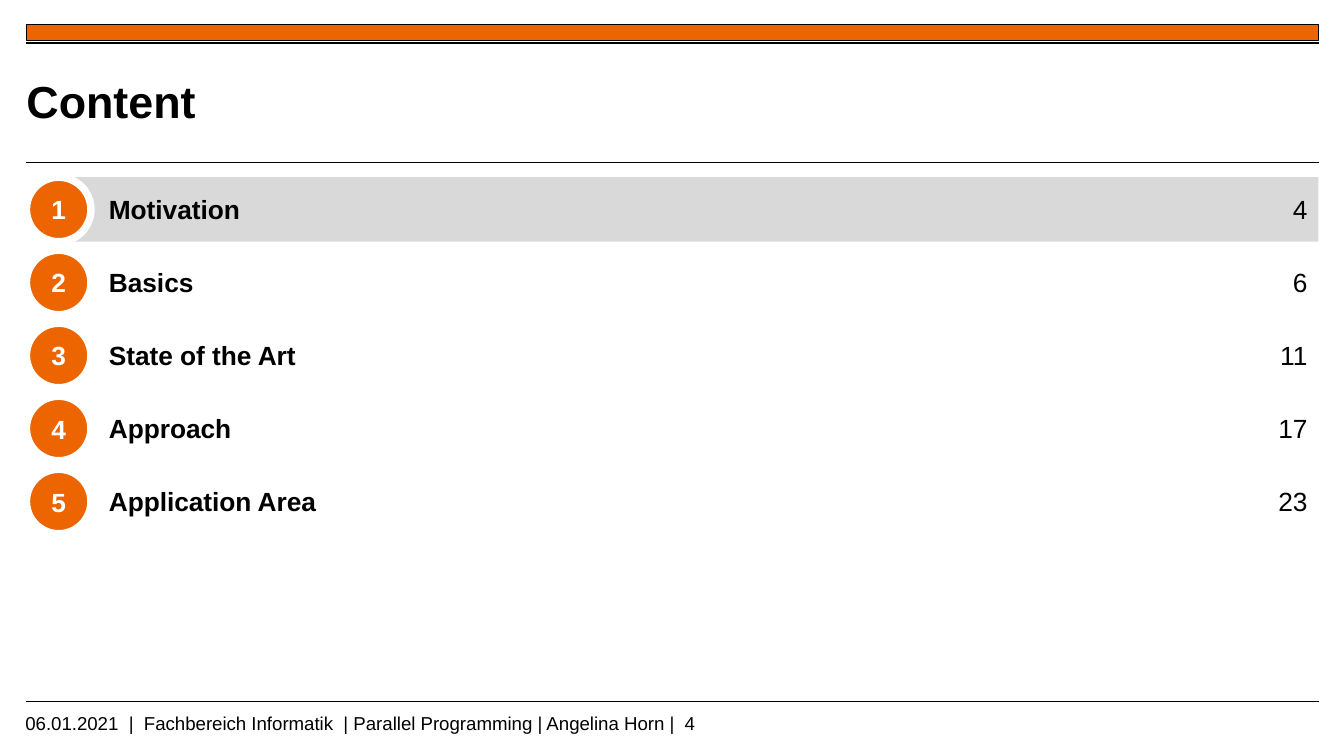
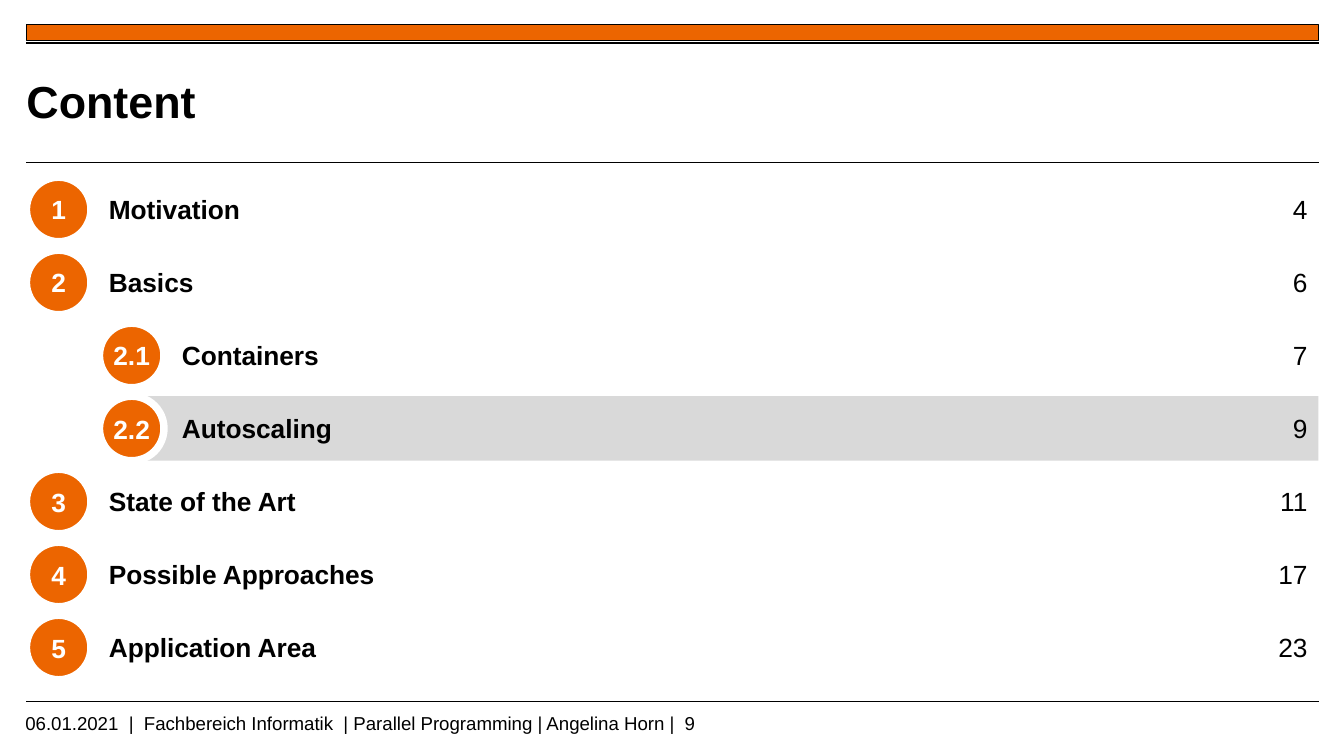
from dataclasses import dataclass

from lxml import etree
from pptx import Presentation
from pptx.dml.color import RGBColor
from pptx.enum.shapes import MSO_CONNECTOR, MSO_SHAPE
from pptx.enum.text import MSO_ANCHOR, MSO_AUTO_SIZE, PP_ALIGN
from pptx.oxml.ns import qn
from pptx.util import Cm, Pt

RECT, OVAL = MSO_SHAPE.RECTANGLE, MSO_SHAPE.OVAL
STRAIGHT = MSO_CONNECTOR.STRAIGHT
LEFT, CENTER, RIGHT = PP_ALIGN.LEFT, PP_ALIGN.CENTER, PP_ALIGN.RIGHT
TOP, MIDDLE = MSO_ANCHOR.TOP, MSO_ANCHOR.MIDDLE
NO_AUTOFIT = MSO_AUTO_SIZE.NONE


@dataclass(frozen=True)
class Theme:
    accent = RGBColor(0xEC, 0x65, 0x00)
    highlight = RGBColor(0xD9, 0xD9, 0xD9)
    ink = RGBColor(0, 0, 0)
    paper = RGBColor(255, 255, 255)
    font = "Arial"
    title_size = Pt(24)
    entry_size = Pt(14.1)
    footer_size = Pt(10)


theme = Theme()

# Layout in centimetres
MARGIN_LEFT, MARGIN_RIGHT = 0.5, 24.92
ROW_TOP, ROW_STEP, ROW_HEIGHT = 3.35, 1.38, 1.22
LABEL_RIGHT = 18.16
PAGE_LEFT, PAGE_WIDTH = 24.43, 0.28
RULES = [(0.81, 1.2), (3.07, 0.6), (13.26, 0.6)]  # height, line width in points
FOOTER = "06.01.2021  |  Fachbereich Informatik  | Parallel Programming | Angelina Horn |  {}"

# Each agenda: number of the current entry, then (number, label, page)
AGENDAS = [
    ("1", [
        ("1", "Motivation", 4),
        ("2", "Basics", 6),
        ("3", "State of the Art", 11),
        ("4", "Approach", 17),
        ("5", "Application Area", 23),
    ]),
    ("2.2", [
        ("1", "Motivation", 4),
        ("2", "Basics", 6),
        ("2.1", "Containers", 7),
        ("2.2", "Autoscaling", 9),
        ("3", "State of the Art", 11),
        ("4", "Possible Approaches", 17),
        ("5", "Application Area", 23),
    ]),
]


def write(sp, text, size, bold=False, color=theme.ink, align=LEFT,
          anchor=TOP, insets=(0.25, 0.13, 0.25, 0.13), wrap=True):
    tf = sp.text_frame
    tf.auto_size = NO_AUTOFIT
    tf.word_wrap = wrap
    tf.vertical_anchor = anchor
    tf.margin_left, tf.margin_top, tf.margin_right, tf.margin_bottom = map(Cm, insets)
    tf.text = text
    p = tf.paragraphs[0]
    p.alignment = align
    p.font.name, p.font.size, p.font.bold = theme.font, size, bold
    p.font.color.rgb = color


def add_filled(s, kind, left, top, width, height, fill, line=None, line_width=0):
    sp = s.shapes.add_shape(kind, Cm(left), Cm(top), Cm(width), Cm(height))
    sp.shadow.inherit = False
    sp.fill.solid()
    sp.fill.fore_color.rgb = fill
    if line is None:
        sp.line.fill.background()
    else:
        sp.line.color.rgb = line
        sp.line.width = Pt(line_width)
    return sp


prs = Presentation()
prs.slide_width, prs.slide_height = Cm(25.4), Cm(14.29)

for current, entries in AGENDAS:
    s = prs.slides.add_slide(prs.slide_layouts[5])

    # Band and rules
    add_filled(s, RECT, MARGIN_LEFT, 0.46, MARGIN_RIGHT - MARGIN_LEFT, 0.3,
               theme.accent, theme.ink, 0.25)
    for y, width in RULES:
        rule = s.shapes.add_connector(STRAIGHT, Cm(MARGIN_LEFT), Cm(y), Cm(MARGIN_RIGHT), Cm(y))
        rule.line.color.rgb = theme.ink
        rule.line.width = Pt(width)
        etree.SubElement(rule._element.spPr, qn("a:effectLst"))

    # Title
    title = s.shapes.title
    title.left, title.top, title.width, title.height = Cm(MARGIN_LEFT), Cm(1.02), Cm(18.95), Cm(1.75)
    write(title, "Content", theme.title_size, bold=True, anchor=MIDDLE, insets=(0, 0, 0, 0))

    # Agenda rows, with sub-entries indented by one step
    for i, (number, label, page) in enumerate(entries):
        top = ROW_TOP + i * ROW_STEP
        left = MARGIN_LEFT + number.count(".") * ROW_STEP
        label_left = left + ROW_STEP
        if number == current:
            current_page = page
            bar_left = left + ROW_HEIGHT / 2
            add_filled(s, RECT, bar_left, top, MARGIN_RIGHT - bar_left, ROW_HEIGHT, theme.highlight)
        badge = add_filled(s, OVAL, left, top, ROW_HEIGHT, ROW_HEIGHT, theme.accent, theme.paper, 4)
        write(badge, number, theme.entry_size, bold=True, color=theme.paper, align=CENTER,
              anchor=MIDDLE, insets=(0.18, 0.3, 0.18, 0.3), wrap=False)
        tb = s.shapes.add_textbox(Cm(label_left), Cm(top), Cm(LABEL_RIGHT - label_left), Cm(ROW_HEIGHT))
        write(tb, label, theme.entry_size, bold=True, insets=(0.18, 0.3, 0, 0.3))
        tb = s.shapes.add_textbox(Cm(PAGE_LEFT), Cm(top), Cm(PAGE_WIDTH), Cm(ROW_HEIGHT))
        write(tb, str(page), theme.entry_size, align=RIGHT, insets=(0, 0.3, 0, 0.3), wrap=False)

    # Footer
    tb = s.shapes.add_textbox(Cm(0.23), Cm(13.33), Cm(20.2), Cm(0.48))
    write(tb, FOOTER.format(current_page), theme.footer_size)

prs.save("out.pptx")
